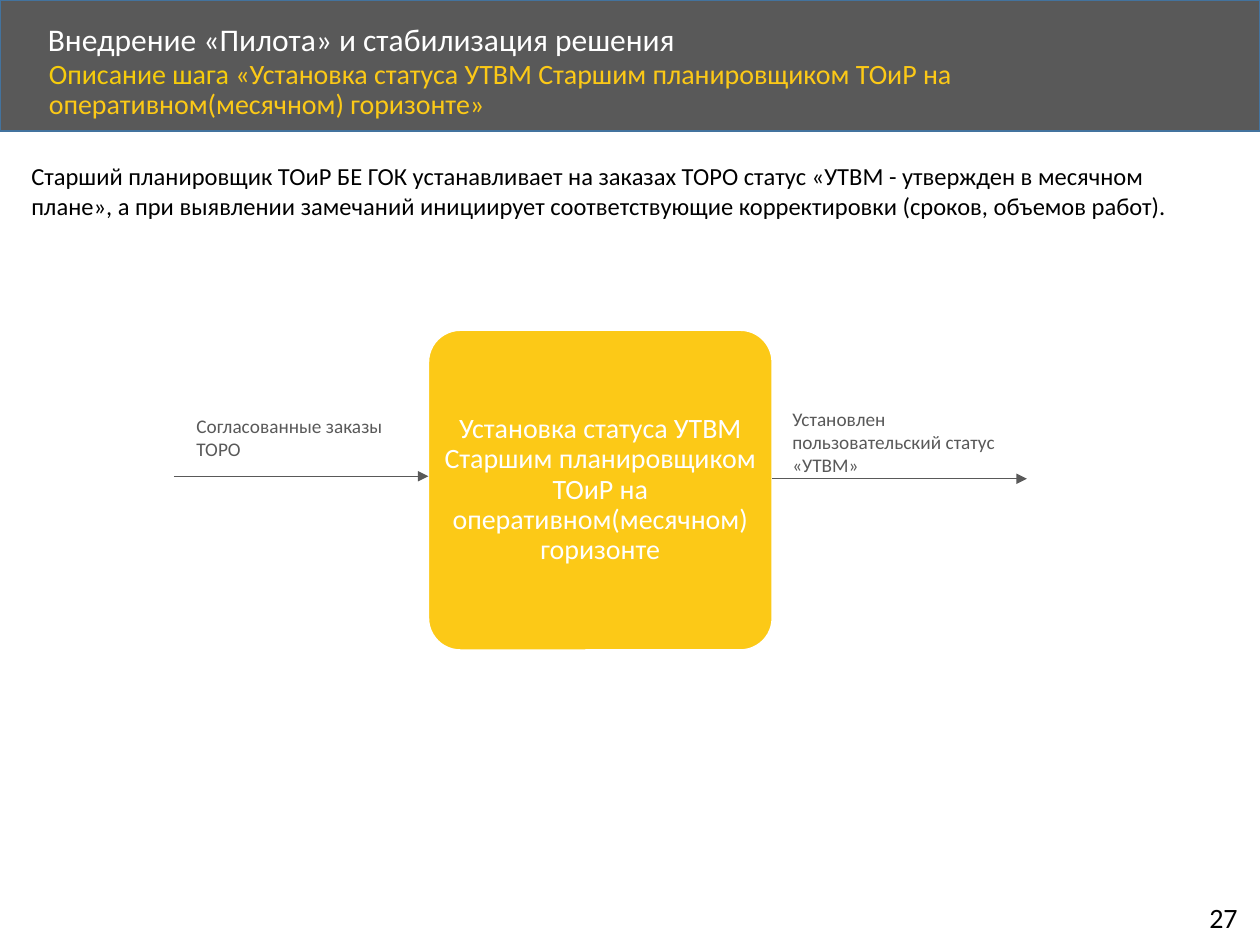
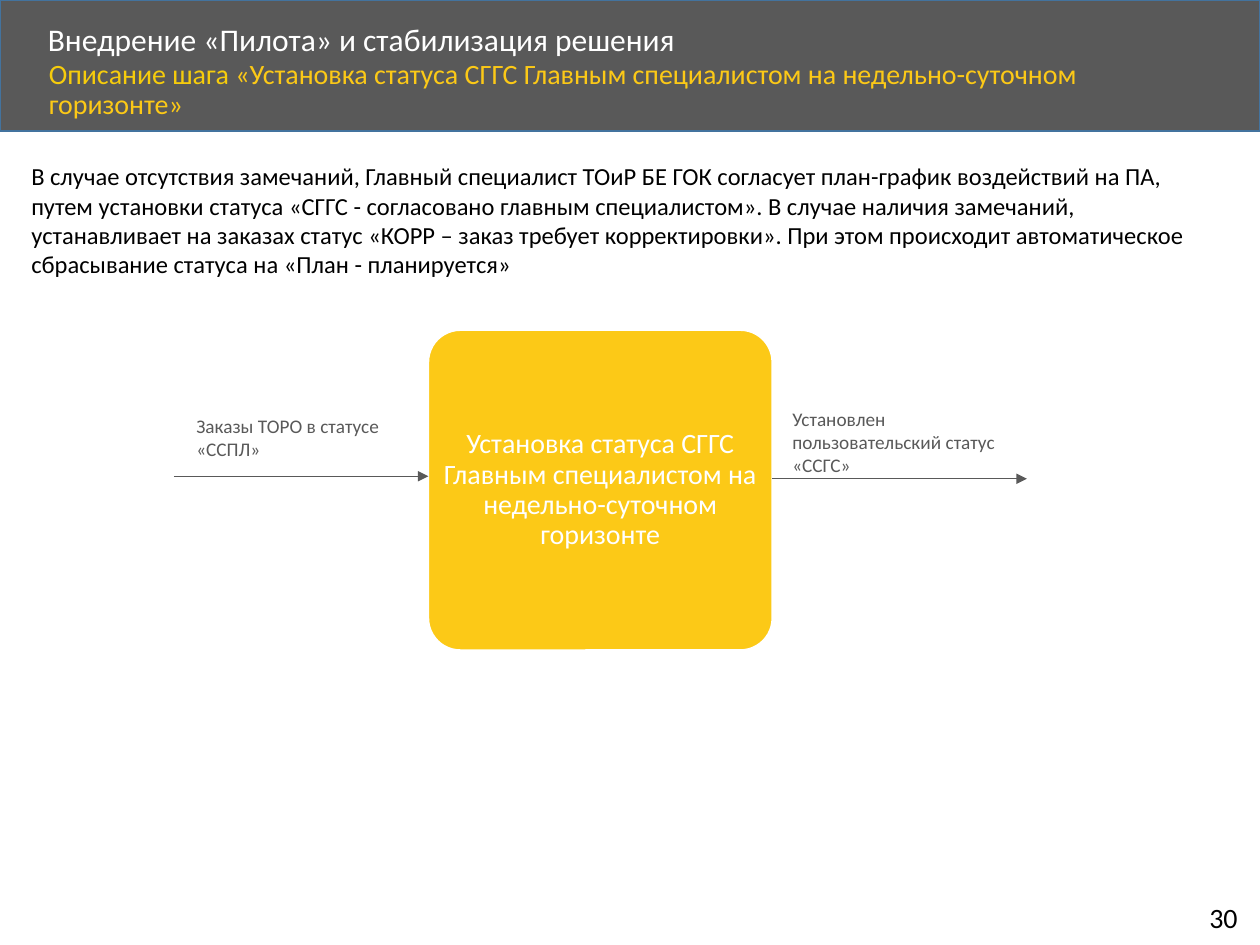
"""Build two process-step slides with a shared header, step card and page number."""
import pptx
import pptx.dml.color
import pptx.enum.shapes
import pptx.enum.text
import pptx.oxml
import pptx.oxml.ns
import pptx.util
from pptx.util import Inches

COLORS = {
    "band": "595959",
    "band_line": "43739E",
    "lead": "F6CC0C",
    "accent": "FCC917",
    "white": "FFFFFF",
    "black": "000000",
}
FONT = "Calibri"
SECTION = "Внедрение «Пилота» и стабилизация решения"
LEAD = "Описание шага "
ANCHOR = pptx.enum.text.MSO_ANCHOR
ALIGN = pptx.enum.text.PP_ALIGN
SHAPE = pptx.enum.shapes.MSO_SHAPE

STEPS = [
    {
        "number": "27",
        "step": "Установка статуса УТВМ Старшим планировщиком ТОиР на оперативном(месячном) горизонте",
        "summary": "Старший планировщик ТОиР БЕ ГОК устанавливает на заказах ТОРО статус "
                   "«УТВМ - утвержден в месячном плане», а при выявлении замечаний инициирует "
                   "соответствующие корректировки (сроков, объемов работ).",
        "summary_height": 0.57,
        "input": "Согласованные заказы ТОРО",
        "output": "Установлен пользовательский статус «УТВМ»",
    },
    {
        "number": "30",
        "step": "Установка статуса СГГС Главным специалистом на недельно-суточном горизонте",
        "summary": "В случае отсутствия замечаний, Главный специалист ТОиР БЕ ГОК согласует "
                   "план-график воздействий на ПА, путем установки статуса «СГГС - согласовано "
                   "главным специалистом». В случае наличия замечаний, устанавливает на заказах "
                   "статус «КОРР – заказ требует корректировки». При этом происходит "
                   "автоматическое сбрасывание статуса на «План - планируется»",
        "summary_height": 1.04,
        "input": "Заказы ТОРО в статусе «ССПЛ»",
        "output": "Установлен пользовательский статус «ССГС»",
    },
]


class StepDeck:
    """Hold the shared style and the current slide."""

    def __init__(self):
        self.deck = pptx.Presentation()
        self.deck.slide_width = Inches(10)
        self.deck.slide_height = Inches(7.5)
        self.page = None

    def color(self, name):
        return pptx.dml.color.RGBColor.from_string(COLORS[name])

    def style(self, span, size, color):
        span.font.name = FONT
        span.font.size = pptx.util.Pt(size)
        span.font.bold = False
        span.font.color.rgb = self.color(color)

    def fill_text(self, box, text, size, color, align=ALIGN.LEFT, anchor=ANCHOR.TOP,
                  spacing=1.0, wrap=True):
        frame = box.text_frame
        frame.text = text
        frame.word_wrap = wrap
        frame.auto_size = pptx.enum.text.MSO_AUTO_SIZE.NONE
        frame.vertical_anchor = anchor
        para = frame.paragraphs[0]
        para.alignment = align
        para.line_spacing = spacing
        self.style(para.runs[0], size, color)
        return para

    def text(self, left, top, width, height, text, size, color, **options):
        box = self.page.shapes.add_textbox(
            Inches(left), Inches(top), Inches(width), Inches(height))
        return self.fill_text(box, text, size, color, **options)

    def shape(self, kind, left, top, width, height, fill, line):
        box = self.page.shapes.add_shape(
            kind, Inches(left), Inches(top), Inches(width), Inches(height))
        box.shadow.inherit = False
        box.fill.solid()
        box.fill.fore_color.rgb = self.color(fill)
        box.line.color.rgb = self.color(line)
        box.line.width = pptx.util.Pt(1)
        return box

    def arrow(self, left, top, length):
        connector = self.page.shapes.add_connector(
            pptx.enum.shapes.MSO_CONNECTOR.STRAIGHT,
            Inches(left), Inches(top), Inches(left + length), Inches(top))
        connector.line.color.rgb = self.color("band")
        connector.line.width = pptx.util.Pt(0.5)
        line = connector.element.spPr.get_or_add_ln()
        namespace = pptx.oxml.ns.nsdecls("a")
        line.append(pptx.oxml.parse_xml(f'<a:tailEnd {namespace} type="triangle"/>'))
        line.addnext(pptx.oxml.parse_xml(f"<a:effectLst {namespace}/>"))

    def header(self, step):
        self.page = self.deck.slides.add_slide(self.deck.slide_layouts[5])
        title = self.page.shapes.title
        title.left, title.top = Inches(0.28), Inches(0.14)
        title.width, title.height = Inches(8.07), Inches(0.38)
        self.fill_text(title, SECTION, 18, "white", anchor=ANCHOR.MIDDLE, spacing=0.9)
        band = self.shape(SHAPE.RECTANGLE, 0, 0, 10, 1.04, "band", "band_line")
        title.element.addprevious(band.element)
        para = self.text(0.29, 0.43, 8.67, 0.45, LEAD, 16, "lead", spacing=0.9)
        span = para.add_run()
        span.text = f"«{step}»"
        self.style(span, 16, "accent")

    def card(self, step):
        box = self.shape(SHAPE.ROUNDED_RECTANGLE, 3.4, 2.62, 2.73, 2.54, "accent", "white")
        box.adjustments[0] = 0.1
        frame = box.text_frame
        frame.margin_left = frame.margin_right = 0
        frame.margin_top = frame.margin_bottom = 0
        self.fill_text(box, step, 16, "white", align=ALIGN.CENTER,
                       anchor=ANCHOR.MIDDLE, spacing=0.9)

    def step_slide(self, content):
        self.header(content["step"])
        self.card(content["step"])
        self.arrow(1.38, 3.78, 2.02)
        self.arrow(6.13, 3.8, 2.02)
        self.text(1.46, 3.24, 2, 0.47, content["input"], 11, "band")
        self.text(6.19, 3.18, 2, 0.66, content["output"], 11, "band")
        self.text(0.15, 1.23, 9.46, content["summary_height"], content["summary"], 14, "black")
        self.text(9.5, 7.1, 0.46, 0.37, content["number"], 16, "black", wrap=False)


def main():
    builder = StepDeck()
    for content in STEPS:
        builder.step_slide(content)
    builder.deck.save("out.pptx")


if __name__ == "__main__":
    main()
